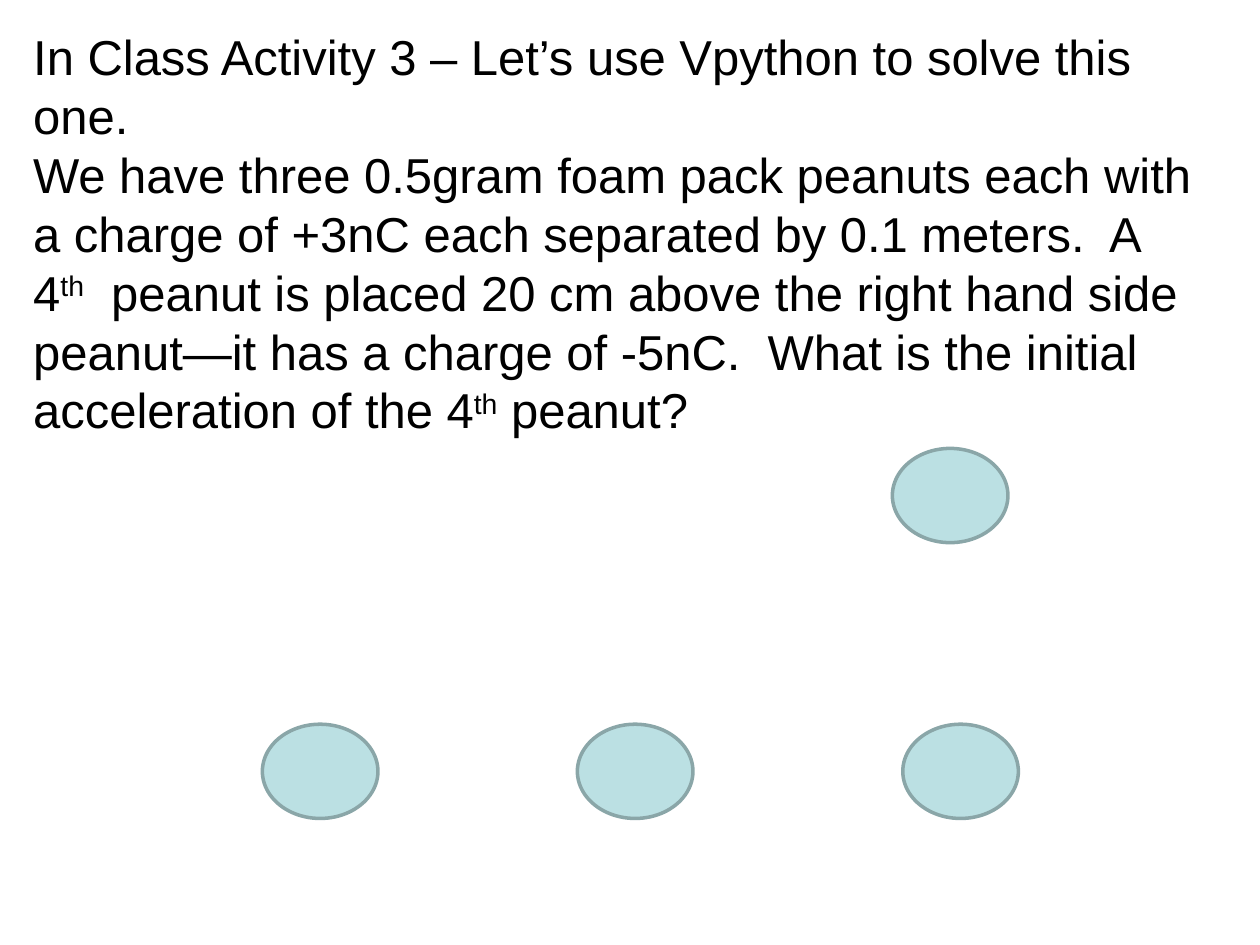
from pptx import Presentation
from pptx.dml.color import RGBColor
from pptx.enum.shapes import MSO_SHAPE
from pptx.enum.text import MSO_AUTO_SIZE
from pptx.util import Cm, Pt


def color(value):
    return RGBColor.from_string(value)


def add_run(p, text, size=28, font="Arial", fill="000000", raised=False):
    r = p.add_run()
    r.text = text
    r.font.size = Pt(size)
    r.font.name = font
    r.font.color.rgb = color(fill)
    if raised:
        r.font._element.set("baseline", "30000")


prs = Presentation()
prs.slide_width, prs.slide_height = Cm(25.4), Cm(19.05)
s = prs.slides.add_slide(prs.slide_layouts[6])

problem = [
    [("In Class Activity 3 – Let’s use Vpython to solve this one.", False)],
    [
        ("We have three 0.5gram foam pack peanuts each with a charge of +3nC "
         "each separated by 0.1 meters.  A 4", False),
        ("th", True),
        ("  peanut is placed 20 cm above the right hand side peanut—it has a "
         "charge of -5nC.  What is the initial acceleration of the 4", False),
        ("th", True),
        (" peanut?", False),
    ],
]
tf = s.shapes.add_textbox(Cm(0.42), Cm(0.42), Cm(23.93), Cm(8.64)).text_frame
tf.word_wrap = True
tf.auto_size = MSO_AUTO_SIZE.SHAPE_TO_FIT_TEXT
for i, parts in enumerate(problem):
    p = tf.add_paragraph() if i else tf.paragraphs[0]
    for text, raised in parts:
        add_run(p, text, raised=raised)

row_top = 14.6
peanuts = [(5.29, row_top), (11.64, row_top), (18.2, row_top), (17.99, 9.04)]
for left, top in peanuts:
    sp = s.shapes.add_shape(MSO_SHAPE.OVAL, Cm(left), Cm(top), Cm(2.33), Cm(1.9))
    sp.shadow.inherit = False
    sp.fill.solid()
    sp.fill.fore_color.rgb = color("BBE0E3")
    sp.line.color.rgb = color("8AA6A8")
    sp.line.width = Pt(2)

prs.save("out.pptx")
